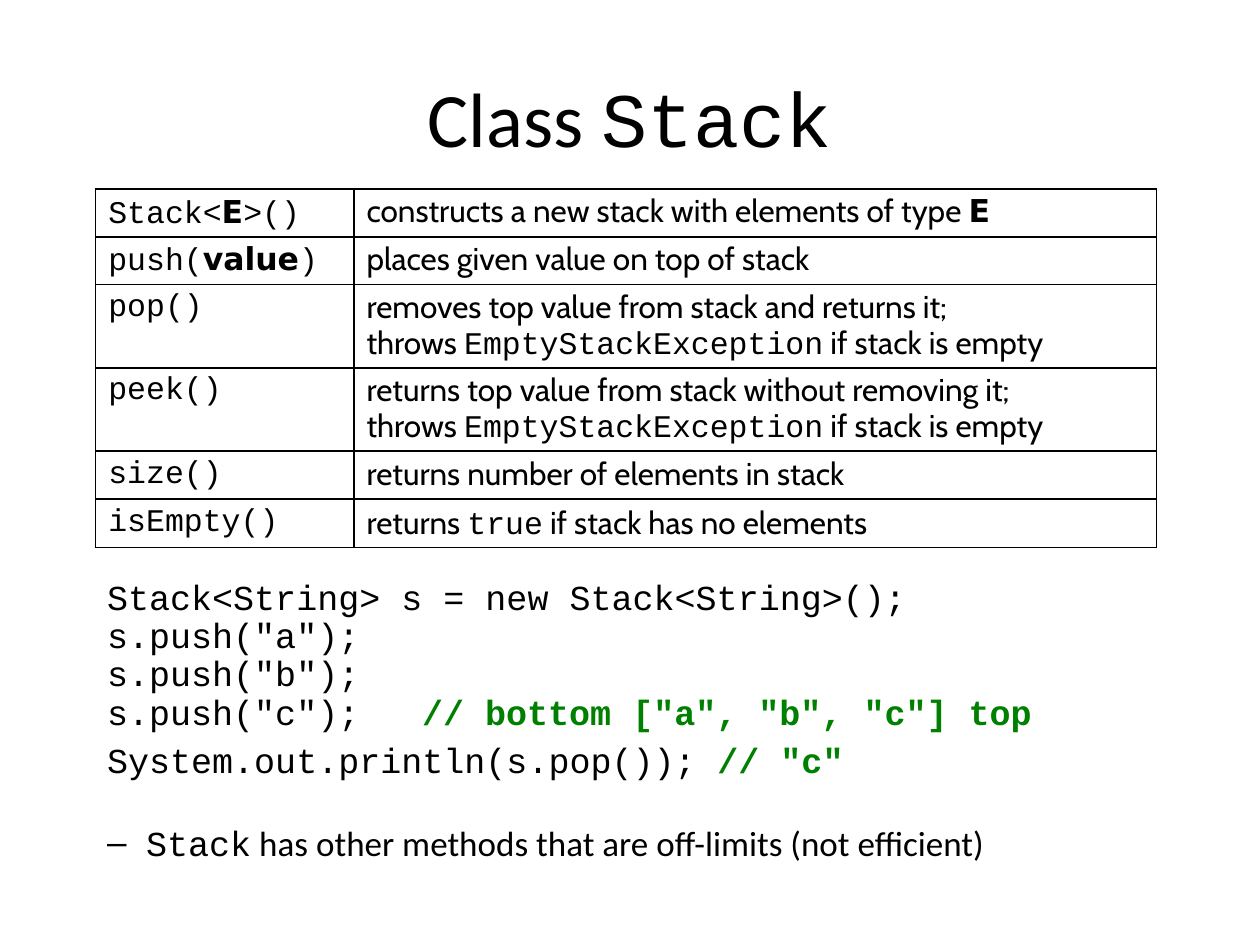
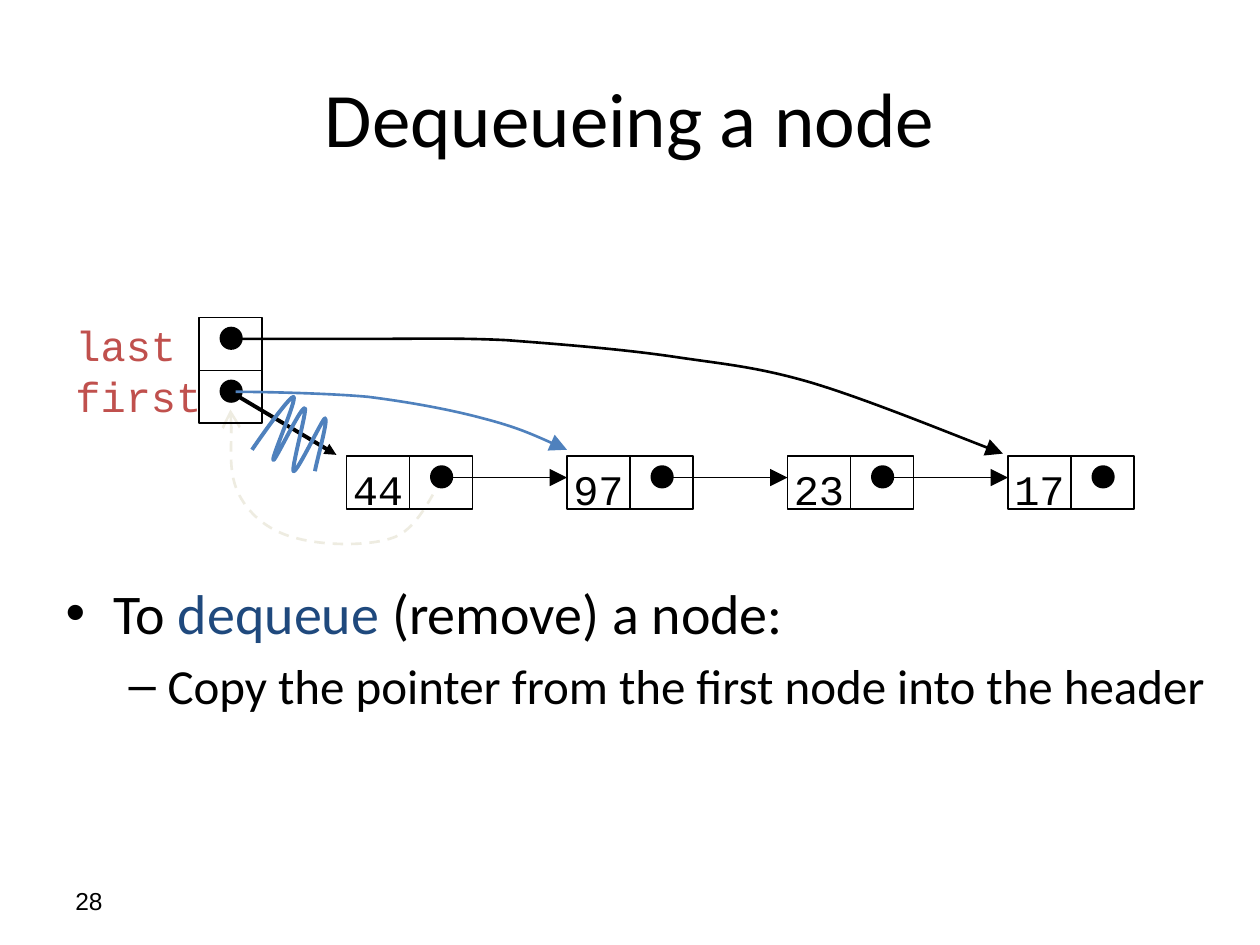
from lxml.etree import SubElement
from pptx import Presentation
from pptx.dml.color import RGBColor
from pptx.enum.dml import MSO_LINE
from pptx.enum.shapes import MSO_CONNECTOR, MSO_SHAPE
from pptx.enum.text import MSO_ANCHOR, MSO_AUTO_SIZE, PP_ALIGN
from pptx.oxml.ns import qn
from pptx.util import Inches, Pt

HUES = {"ink": "000000", "green": "008000", "navy": "1F497D",
        "red": "C0504D", "blue": "4F81BD", "pale": "EEECE1"}
MONO, SANS, CABIN = "Courier New", "Calibri", "Cabin"
BOLD = {"font": "DejaVu Sans", "bold": True}
NOTE = {"hue": "green", "bold": True}


def tint(name):
    return RGBColor.from_string(HUES[name])


def put(par, text, size=18, font=SANS, hue="ink", bold=False):
    run = par.add_run()
    run.text = text
    run.font.size = Pt(size)
    run.font.name = font
    run.font.bold = bold
    run.font.color.rgb = tint(hue)


def fill_par(par, parts, **base):
    for part in parts:
        text, style = (part, {}) if isinstance(part, str) else part
        put(par, text, **{**base, **style})


def mono(text):
    return text, {"font": MONO}


class Deck:
    def __init__(self):
        self.prs = Presentation()
        self.prs.slide_width = Inches(10)
        self.prs.slide_height = Inches(7.5)

    def page(self, *parts):
        self.slide = self.prs.slides.add_slide(self.prs.slide_layouts[1])
        self.shapes = self.slide.shapes
        title = self.shapes.title
        self.place(title, 0.5, 0.3, 9, 1.25)
        title.text_frame.vertical_anchor = MSO_ANCHOR.MIDDLE
        par = title.text_frame.paragraphs[0]
        par.alignment = PP_ALIGN.CENTER
        fill_par(par, parts, size=44)

    def place(self, shape, left, top, width, height):
        shape.left, shape.top = Inches(left), Inches(top)
        shape.width, shape.height = Inches(width), Inches(height)

    def body(self, *box):
        holder = self.slide.placeholders[1]
        self.place(holder, *box)
        self.frame = holder.text_frame
        self.frame.auto_size = MSO_AUTO_SIZE.NONE
        self.frame.word_wrap = True
        self.fresh = True

    def item(self, parts, mark=None, left=0, hang=0, gap=0,
             pitch=1.0, tab=None, level=0, **base):
        par = self.frame.paragraphs[0] if self.fresh else self.frame.add_paragraph()
        self.fresh = False
        par.level = level
        par.line_spacing = pitch
        par.space_before = Pt(gap)
        fill_par(par, parts, **base)
        props = par._p.get_or_add_pPr()
        props.set("marL", str(Inches(left)))
        props.set("indent", str(-Inches(hang)))
        if mark:
            SubElement(props, qn("a:buFont"), typeface="Arial")
            SubElement(props, qn("a:buChar"), char=mark)
        else:
            SubElement(props, qn("a:buNone"))
        if tab:
            tabs = SubElement(props, qn("a:tabLst"))
            SubElement(tabs, qn("a:tab"), pos=str(Inches(tab)), algn="l")

    def grid(self, left, top, cols, highs, rows):
        table = self.shapes.add_table(
            len(rows), len(cols), Inches(left), Inches(top),
            Inches(sum(cols)), Inches(sum(highs))).table
        table.first_row = table.horz_banding = False
        for col, width in zip(table.columns, cols):
            col.width = Inches(width)
        for line, high, row in zip(table.rows, highs, rows):
            line.height = Inches(high)
            for cell, pars, font in zip(line.cells, row, (MONO, CABIN)):
                self.cell(cell, pars, font)

    def cell(self, cell, pars, font):
        cell.fill.background()
        for spot, parts in enumerate(pars):
            frame = cell.text_frame
            par = frame.add_paragraph() if spot else frame.paragraphs[0]
            par.line_spacing = 0.9
            fill_par(par, parts, font=font)
        props = cell._tc.get_or_add_tcPr()
        for spot, side in enumerate("LRTB"):
            edge = SubElement(props, qn("a:ln" + side), w=str(Pt(1)))
            fill = SubElement(edge, qn("a:solidFill"))
            SubElement(fill, qn("a:srgbClr"), val=HUES["ink"])
            props.insert(spot, edge)

    def label(self, left, top, width, height, *lines, **base):
        frame = self.shapes.add_textbox(*map(Inches, (left, top, width, height))).text_frame
        frame.word_wrap = True
        for spot, text in enumerate(lines):
            par = frame.add_paragraph() if spot else frame.paragraphs[0]
            put(par, text, **base)
        return frame

    def shape(self, kind, *box):
        shape = self.shapes.add_shape(kind, *map(Inches, box))
        shape.shadow.inherit = False
        shape.fill.background()
        self.ink(shape, "ink", 1)
        return shape

    def box(self, left, top, text=None):
        shape = self.shape(MSO_SHAPE.RECTANGLE, left, top, 0.5, 0.42)
        if text:
            frame = shape.text_frame
            frame.word_wrap = False
            frame.vertical_anchor = MSO_ANCHOR.MIDDLE
            frame.margin_top, frame.margin_bottom = Inches(0.1), 0
            par = frame.paragraphs[0]
            par.alignment = PP_ALIGN.CENTER
            put(par, text, size=24, font=MONO)

    def dot(self, x, y):
        shape = self.shape(MSO_SHAPE.OVAL, x - 0.08, y - 0.09, 0.17, 0.17)
        shape.fill.solid()
        shape.fill.fore_color.rgb = tint("ink")

    def ink(self, shape, hue, width, head=None, big="lg"):
        shape.line.color.rgb = tint(hue)
        shape.line.width = Pt(width)
        if head:
            SubElement(shape.line._get_or_add_ln(), qn("a:tailEnd"),
                       type=head, w=big, len=big)

    def arrow(self, x, y, to_x, to_y, width=1, big="lg"):
        line = self.shapes.add_connector(
            MSO_CONNECTOR.STRAIGHT, *map(Inches, (x, y, to_x, to_y)))
        self.ink(line, "ink", width, "triangle", big)
        SubElement(line._element.spPr, qn("a:effectLst"))

    def curve(self, dots, hue, width, head=None, dash=False):
        dots = [(Inches(x), Inches(y)) for x, y in dots]
        pen = self.shapes.build_freeform(*dots[0])
        pen.add_line_segments(dots[1:], close=False)
        shape = pen.convert_to_shape()
        shape.shadow.inherit = False
        shape.fill.background()
        if dash:
            shape.line.dash_style = MSO_LINE.DASH
        self.ink(shape, hue, width, head)
        track = next(shape._element.iter(qn("a:path")))
        legs = track.findall(qn("a:lnTo"))
        for spot in range(0, len(legs), 3):
            bend = SubElement(track, qn("a:cubicBezTo"))
            for leg in legs[spot:spot + 3]:
                bend.append(leg[0])
                track.remove(leg)


def stack_page(deck):
    deck.page("Class ", mono("Stack"))
    code = {"size": 20, "font": MONO, "pitch": 0.7}
    deck.body(0.75, 4.61, 9.25, 2.56)
    deck.frame.margin_right = 0
    deck.item(["Stack<String> s = new Stack<String>();"], **code)
    for text in ('s.push("a");', 's.push("b");'):
        deck.item([text], gap=5, **code)
    deck.item(['s.push("c");\t', ('// bottom ["a", "b", "c"] top', NOTE)],
              gap=5, tab=4.18, **code)
    deck.item(["System.out.println(s.pop()); ", ('// "c"', NOTE)], gap=11, **code)
    deck.item([mono("Stack"), " has other methods that are off-limits (not efficient)"],
              mark="–", left=0.31, hang=0.31, gap=24, size=20)
    throws = ["throws ", mono("EmptyStackException"), " if stack is empty"]
    rows = [
        ([["Stack<", ("E", BOLD), ">()"]],
         [["constructs a new stack with elements of type ", ("E", BOLD)]]),
        ([["push(", ("value", BOLD), ")"]], [["places given value on top of stack"]]),
        ([["pop()"]], [["removes top value from stack and returns it;"], throws]),
        ([["peek()"]], [["returns top value from stack without removing it;"], throws]),
        ([["size()"]], [["returns number of elements in stack"]]),
        ([["isEmpty()"]], [["returns ", mono("true"), " if stack has no elements"]]),
    ]
    highs = [0.38 if len(row[1]) == 1 else 0.66 for row in rows]
    deck.grid(0.76, 1.5, (2.05, 6.37), highs, rows)


def queue_page(deck):
    deck.page("Dequeueing a node")
    number = deck.label(0.5, 6.95, 2.33, 0.4, "28", size=14, font="Arial")
    number.vertical_anchor = MSO_ANCHOR.MIDDLE
    deck.body(0.42, 4.54, 9.38, 2.17)
    deck.item(["To ", ("dequeue", {"hue": "navy"}), " (remove) a node:"],
              mark="•", left=0.38, hang=0.38, gap=6.4, size=32)
    deck.item(["Copy the pointer from the first node into the header"],
              mark="–", left=0.81, hang=0.31, gap=5.6, level=1, size=28)
    deck.curve([(3.51, 3.8), (3.45, 3.88), (3.33, 4.18), (3.14, 4.26),
                (2.94, 4.34), (2.56, 4.33), (2.35, 4.27),
                (2.15, 4.22), (1.99, 4.1), (1.9, 3.93),
                (1.81, 3.76), (1.85, 3.39), (1.83, 3.25)],
               "pale", 1.5, "arrow", dash=True)
    nodes = ("44", "97", "23", "17")
    for spot, value in enumerate(nodes):
        left = 2.75 + 1.75 * spot
        deck.box(left + 0.5, 3.62)
        deck.box(left, 3.62, value)
        deck.dot(left + 0.75, 3.79)
        if spot < len(nodes) - 1:
            deck.arrow(left + 0.75, 3.79, left + 1.75, 3.79)
    for top in (2.52, 2.94):
        deck.dot(1.83, top + 0.17)
        deck.box(1.58, top)
    deck.arrow(1.83, 3.11, 2.67, 3.61, width=2.25, big="med")
    deck.label(0.5, 2.49, 1.33, 0.86, "last", "first", size=24, font=MONO, hue="red")
    deck.curve([(1.83, 2.69), (2.15, 2.69), (2.55, 2.69), (2.92, 2.69),
                (3.28, 2.69), (3.62, 2.68), (4.02, 2.7),
                (4.42, 2.73), (4.93, 2.77), (5.34, 2.83),
                (5.74, 2.89), (6.01, 2.91), (6.45, 3.04),
                (6.88, 3.17), (7.64, 3.48), (7.96, 3.6)], "ink", 1.5, "triangle")
    deck.curve([(1.87, 3.11), (2.05, 3.11), (2.59, 3.12), (2.92, 3.15),
                (3.24, 3.19), (3.57, 3.25), (3.83, 3.32),
                (4.1, 3.39), (4.3, 3.48), (4.5, 3.57)], "blue", 1.5, "triangle")
    deck.curve([(2, 3.57), (2.15, 3.35), (2.31, 3.14), (2.33, 3.15),
                (2.36, 3.17), (2.15, 3.64), (2.17, 3.65),
                (2.18, 3.67), (2.39, 3.22), (2.42, 3.24),
                (2.44, 3.25), (2.31, 3.72), (2.33, 3.74),
                (2.36, 3.75), (2.56, 3.32), (2.58, 3.32),
                (2.61, 3.32), (2.51, 3.67), (2.5, 3.74)], "blue", 2.25)


def main():
    deck = Deck()
    stack_page(deck)
    queue_page(deck)
    deck.prs.save("out.pptx")


if __name__ == "__main__":
    main()
